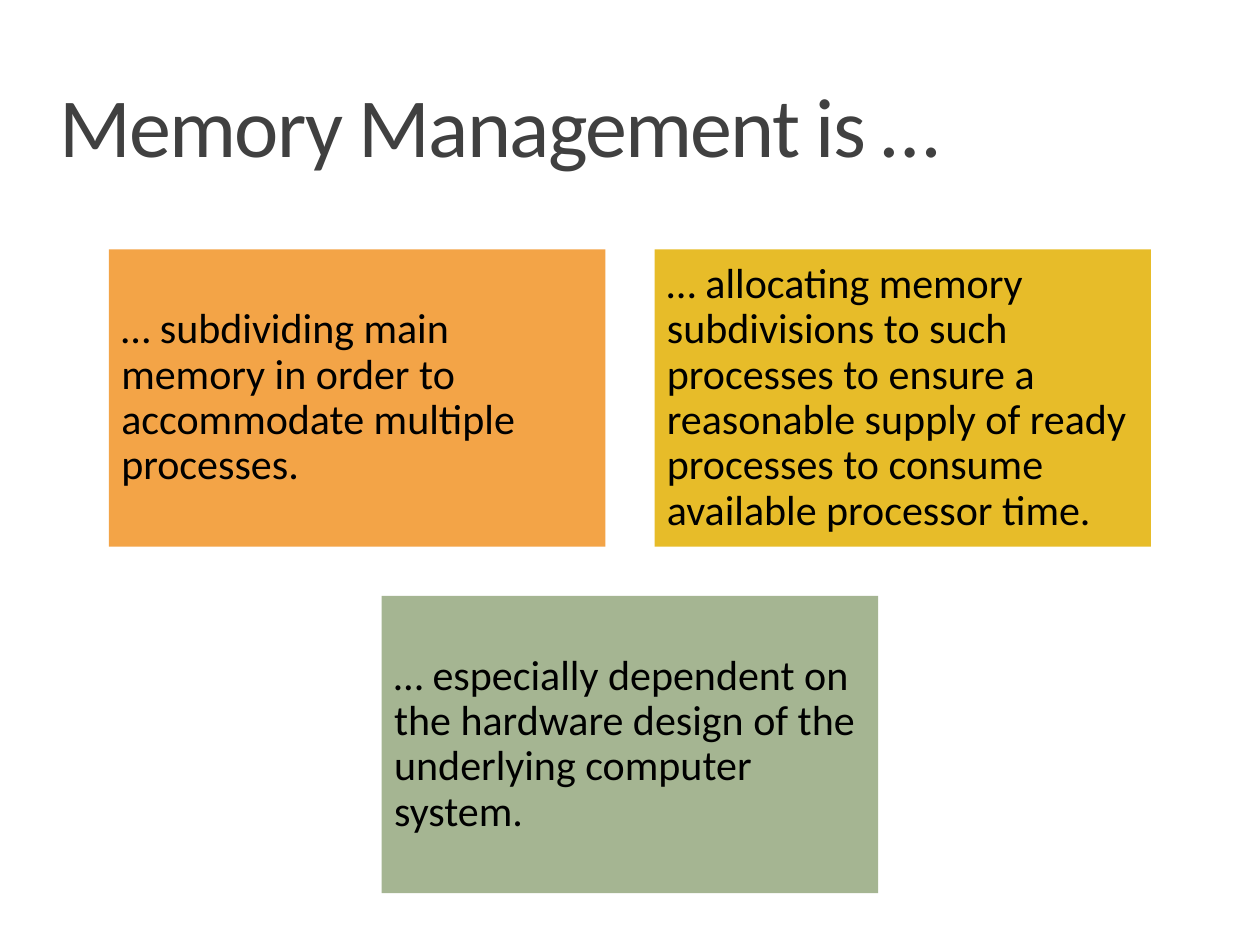
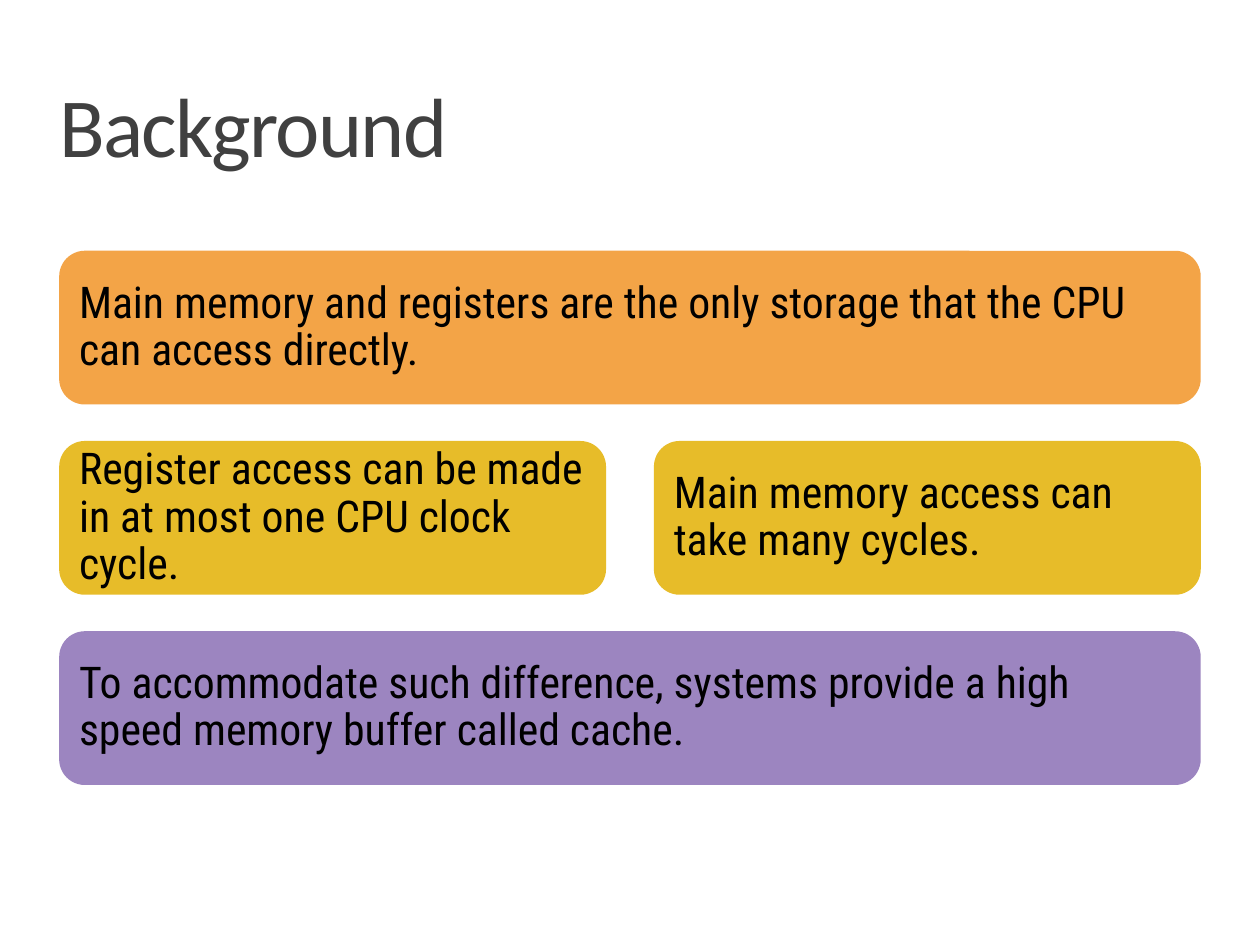
import pptx
import pptx.util
import pptx.dml.color
import pptx.enum.shapes
import pptx.enum.text

Inches = pptx.util.Inches
Pt = pptx.util.Pt
SHAPES = pptx.enum.shapes.MSO_SHAPE
ANCHOR = pptx.enum.text.MSO_ANCHOR
ALIGN = pptx.enum.text.PP_ALIGN

COLORS = {
    "title": "404040",
    "text": "000000",
    "orange": "F3A447",
    "gold": "E7BC29",
    "green": "A5B592",
    "purple": "9C85C0",
}
SLIDE_WIDTH, SLIDE_HEIGHT = 10, 7.5
TITLE_BOX = (0.47, 0.7, 9.06, 1.28)
CONTENT_WIDTH = 9.06

# Each slide holds rows of cards; a card is (text, colour name).
# Cards without a fixed width share the content width of their row.
SLIDES = [
    {
        "title": "Memory Management is …",
        "shape": SHAPES.RECTANGLE, "font": "Calibri", "size": 24,
        "top": 1.98, "card_width": 3.94, "card_height": 2.36,
        "column_gap": 0.39, "row_gap": 0.39,
        "rows": [
            [("… subdividing main memory in order to accommodate multiple "
              "processes.", "orange"),
             ("… allocating memory subdivisions to such processes to ensure "
              "a reasonable supply of ready processes to consume available "
              "processor time.", "gold")],
            [("… especially dependent on the hardware design of the "
              "underlying computer system.", "green")],
        ],
    },
    {
        "title": "Background",
        "shape": SHAPES.ROUNDED_RECTANGLE, "font": "Roboto Condensed", "size": 25,
        "top": 1.99, "card_width": None, "card_height": 1.22,
        "column_gap": 0.38, "row_gap": 0.29,
        "rows": [
            [("Main memory and registers are the only storage that the CPU "
              "can access directly.", "orange")],
            [("Register access can be made in at most one CPU clock cycle.",
              "gold"),
             ("Main memory access can take many cycles.", "gold")],
            [("To accommodate such difference, systems provide a high speed "
              "memory buffer called cache.", "purple")],
        ],
    },
]


def rgb(name):
    """Return the named colour."""
    return pptx.dml.color.RGBColor.from_string(COLORS[name])


def write_text(shape, text, font, size, color, spacing, anchor, insets):
    """Put one left-aligned paragraph into a shape; return its run."""
    frame = shape.text_frame
    frame.text = text
    frame.word_wrap = True
    frame.auto_size = pptx.enum.text.MSO_AUTO_SIZE.NONE
    frame.vertical_anchor = anchor
    (frame.margin_left, frame.margin_top,
     frame.margin_right, frame.margin_bottom) = map(Inches, insets)
    paragraph = frame.paragraphs[0]
    paragraph.alignment = ALIGN.LEFT
    paragraph.line_spacing = spacing
    run = paragraph.runs[0]
    run.font.name = font
    run.font.size = Pt(size)
    run.font.color.rgb = rgb(color)
    return run


def add_title(slide, text):
    """Place and style the title placeholder."""
    title = slide.shapes.title
    title.left, title.top, title.width, title.height = map(Inches, TITLE_BOX)
    run = write_text(title, text, "Calibri", 48, "title", 0.8,
                     ANCHOR.TOP, (0, 0.04, 0, 0))
    run.font._element.set("spc", "-100")


def add_card(slide, content, box, card):
    """Draw one filled card with its text."""
    text, color = card
    shape = slide.shapes.add_shape(content["shape"], *map(Inches, box))
    shape.shadow.inherit = False
    shape.fill.solid()
    shape.fill.fore_color.rgb = rgb(color)
    shape.line.fill.background()
    write_text(shape, text, content["font"], content["size"], "text", 0.9,
               ANCHOR.MIDDLE, (0.1, 0.1, 0.1, 0.1))


def add_cards(slide, content):
    """Lay out the rows of cards, each row centred on the slide."""
    gap, height = content["column_gap"], content["card_height"]
    for row_index, row in enumerate(content["rows"]):
        gaps = gap * (len(row) - 1)
        width = content["card_width"] or (CONTENT_WIDTH - gaps) / len(row)
        left = (SLIDE_WIDTH - width * len(row) - gaps) / 2
        top = content["top"] + row_index * (height + content["row_gap"])
        for column, card in enumerate(row):
            box = (left + column * (width + gap), top, width, height)
            add_card(slide, content, box, card)


presentation = pptx.Presentation()
presentation.slide_width = Inches(SLIDE_WIDTH)
presentation.slide_height = Inches(SLIDE_HEIGHT)
title_only = presentation.slide_layouts.get_by_name("Title Only")
for content in SLIDES:
    slide = presentation.slides.add_slide(title_only)
    add_title(slide, content["title"])
    add_cards(slide, content)
presentation.save("out.pptx")
